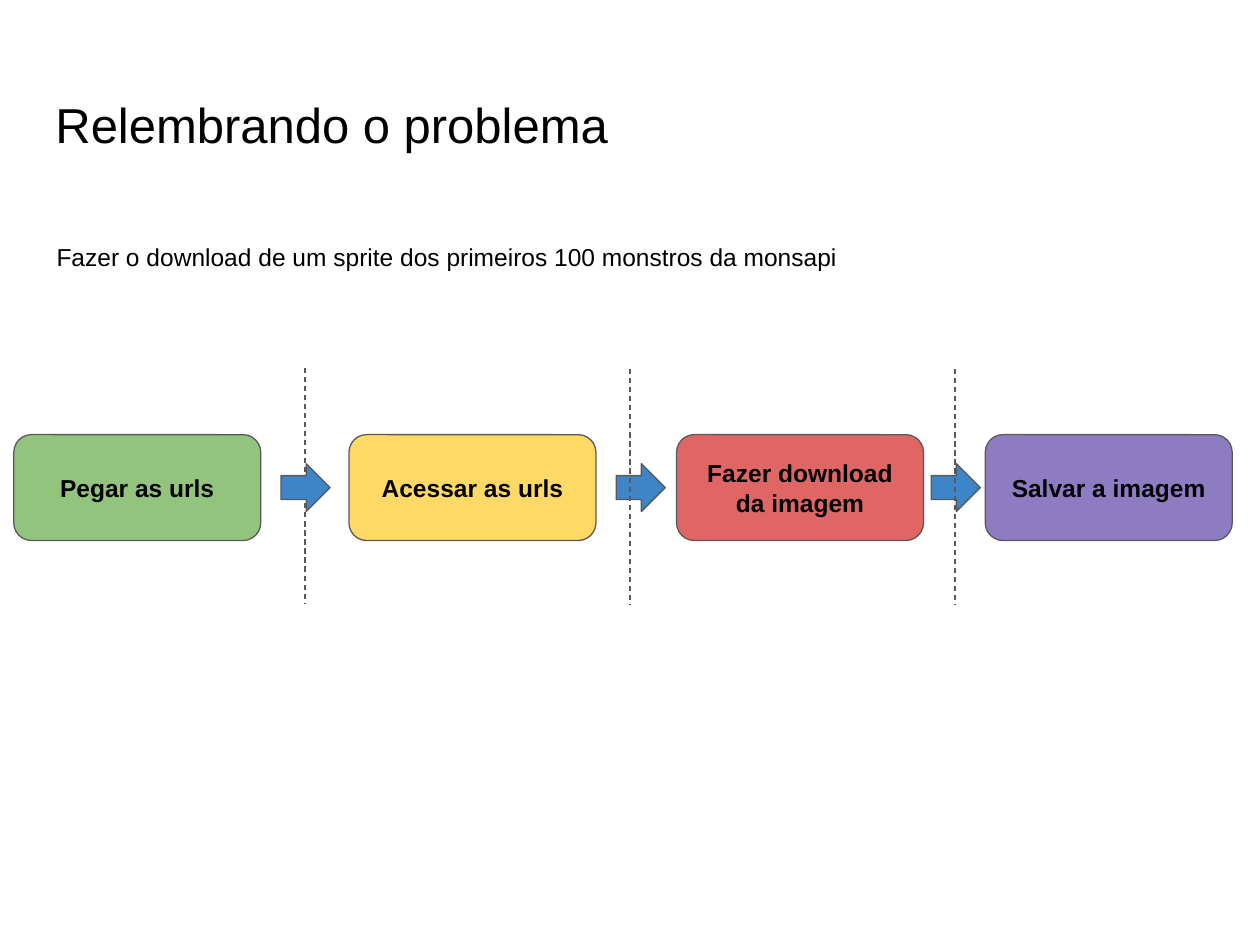
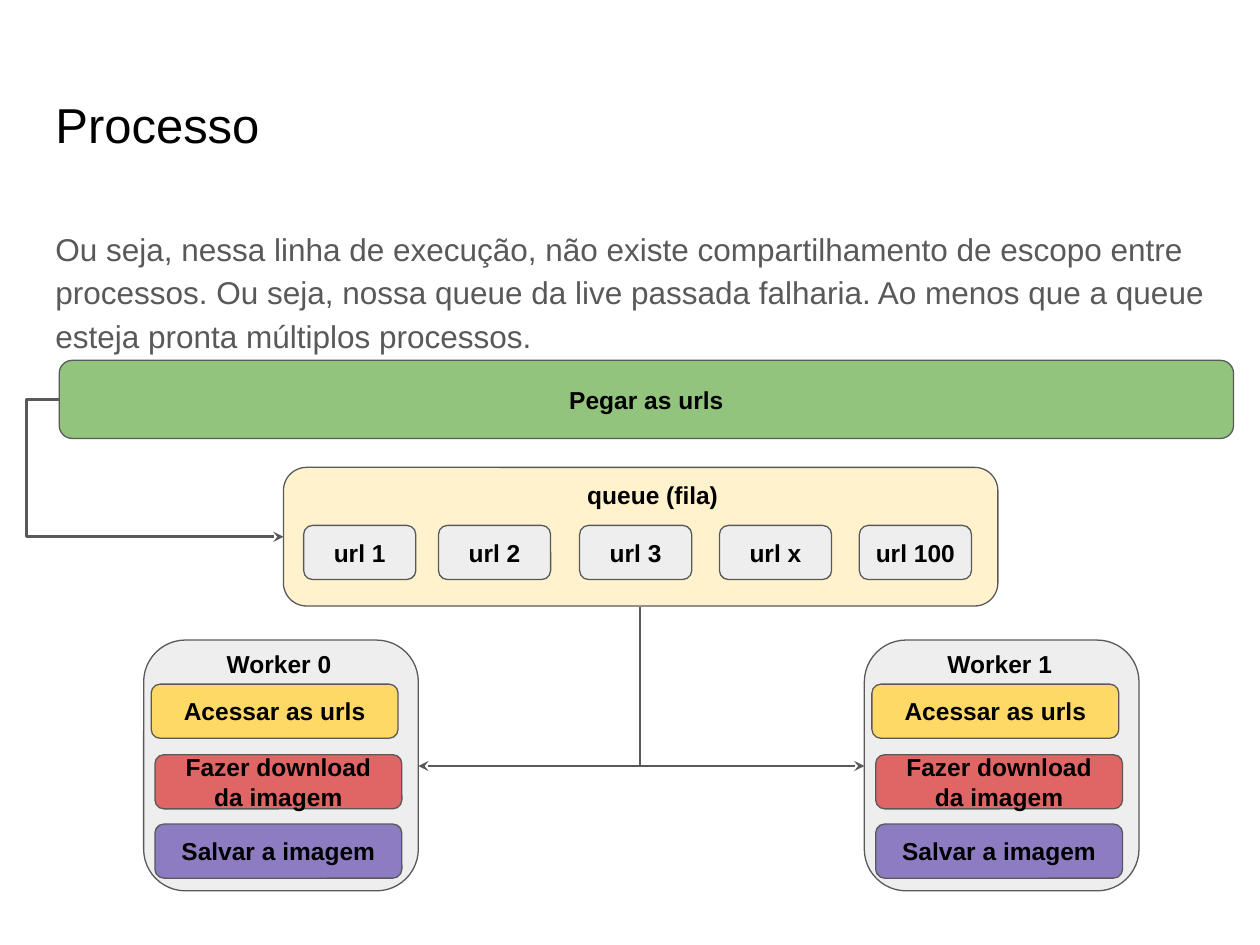
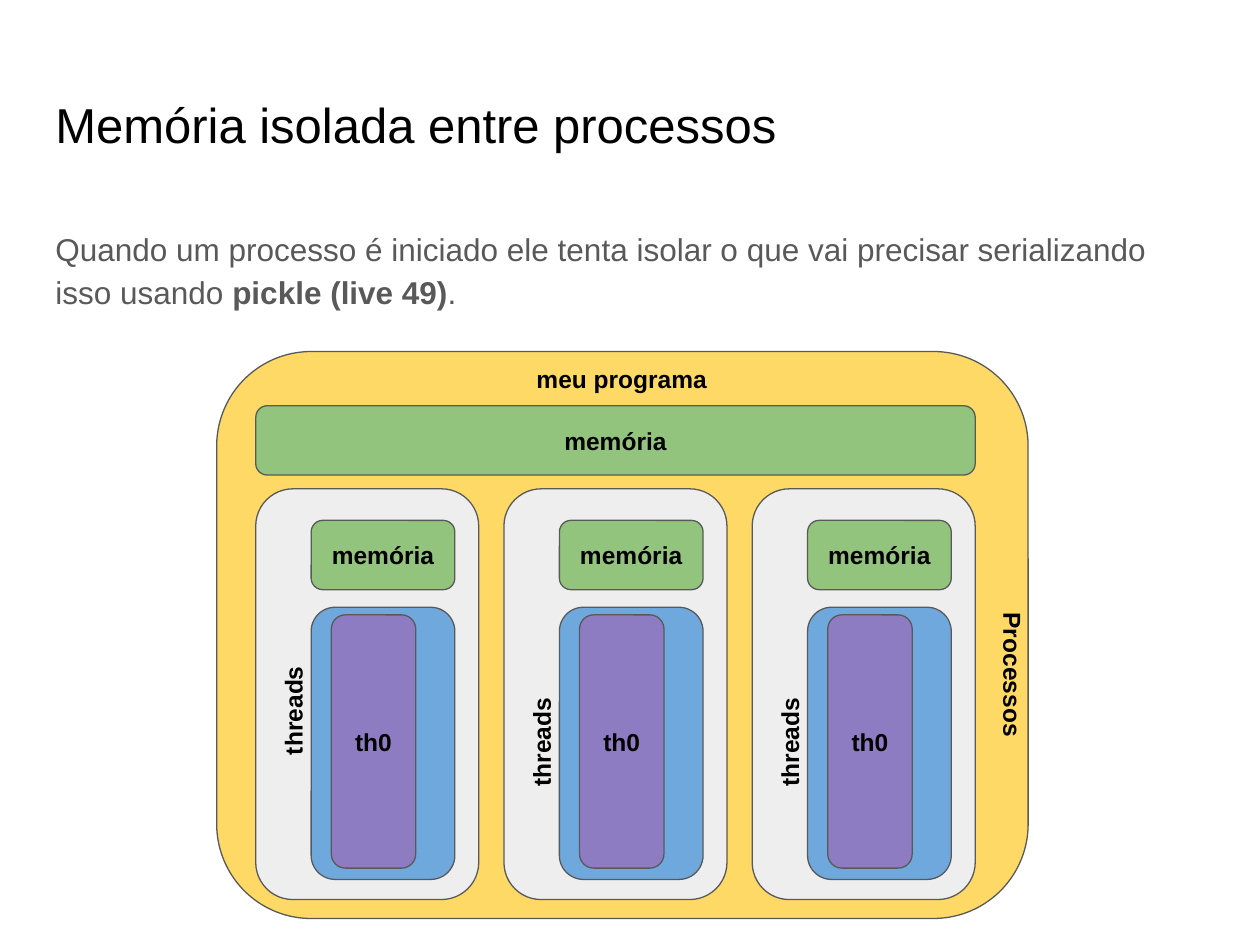
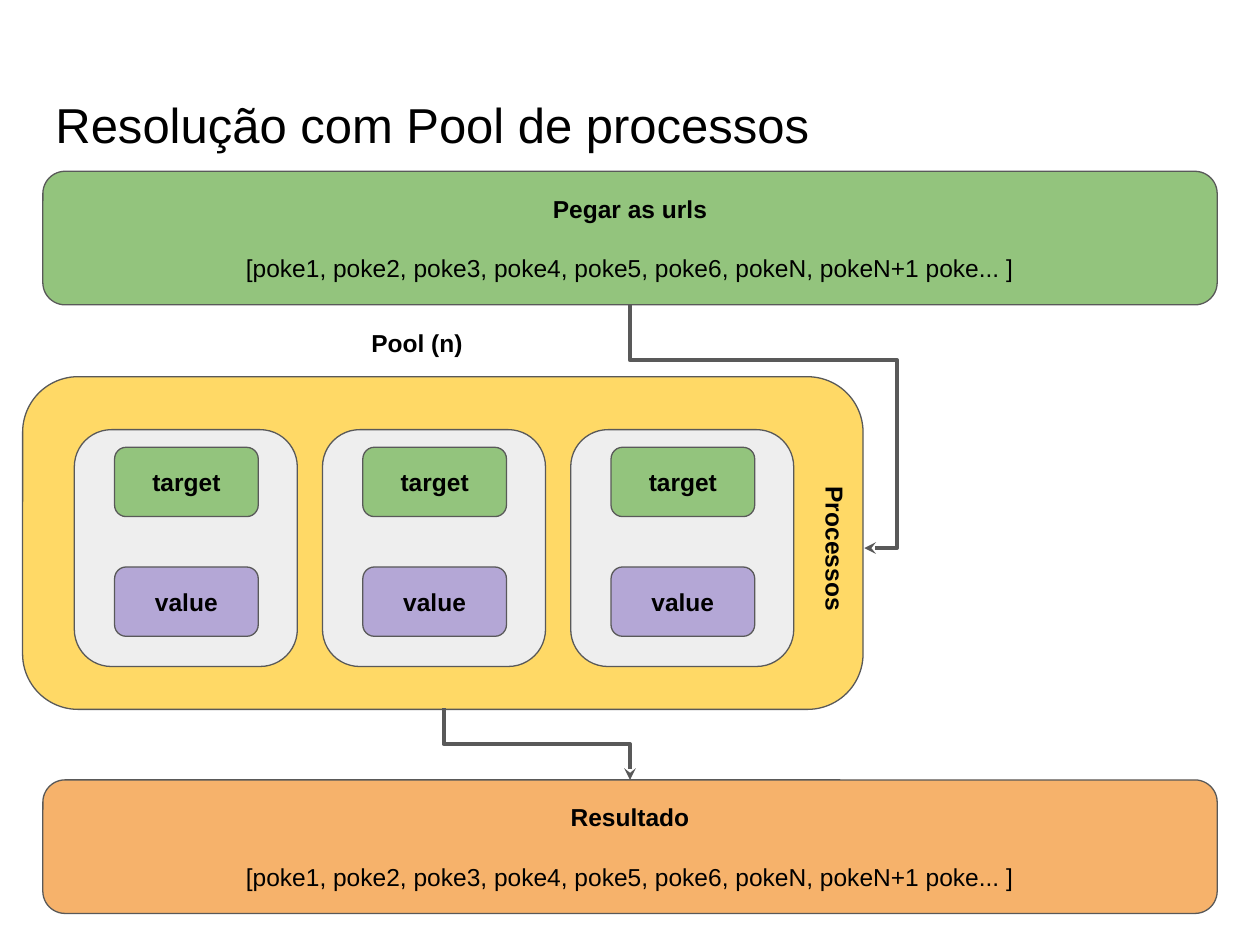
from dataclasses import dataclass

from lxml import etree
from pptx import Presentation
from pptx import util as u
from pptx.dml.color import RGBColor
from pptx.enum import dml, shapes, text
from pptx.oxml.ns import qn

BLACK = RGBColor(0x00, 0x00, 0x00)
SLATE = RGBColor(0x59, 0x59, 0x59)
GREEN = RGBColor(0x93, 0xC4, 0x7D)
YELLOW = RGBColor(0xFF, 0xD9, 0x66)
CREAM = RGBColor(0xFF, 0xF2, 0xCC)
RED = RGBColor(0xE0, 0x66, 0x66)
PURPLE = RGBColor(0x8E, 0x7C, 0xC3)
LILAC = RGBColor(0xB4, 0xA7, 0xD6)
ORANGE = RGBColor(0xF6, 0xB2, 0x6B)
BLUE = RGBColor(0x3D, 0x85, 0xC6)
SKY = RGBColor(0x6F, 0xA8, 0xDC)
GRAY = RGBColor(0xEE, 0xEE, 0xEE)

FONT = "Arial"
LABEL_SIZE = u.Pt(14)
INSET = u.Inches(0.1)
COLUMN_PITCH = 1.97
COLUMN_WIDTH = 1.77
POKE_LIST = "[poke1, poke2, poke3, poke4, poke5, poke6, pokeN, pokeN+1 poke... ]"
ROUNDED = shapes.MSO_SHAPE.ROUNDED_RECTANGLE
ARROW = shapes.MSO_SHAPE.RIGHT_ARROW


@dataclass(frozen=True)
class Area:
    left: float
    top: float
    width: float
    height: float

    def lengths(self) -> list:
        return [u.Inches(v) for v in (self.left, self.top, self.width, self.height)]


@dataclass(frozen=True)
class Block:
    area: Area
    fill: RGBColor
    label: str = ""
    detail: str = ""
    kind: int = ROUNDED


@dataclass(frozen=True)
class Caption:
    area: Area
    label: str
    rotation: int = 0
    bold: bool = True
    align: int = text.PP_ALIGN.CENTER


@dataclass(frozen=True)
class Elbow:
    start: tuple[float, float]
    end: tuple[float, float]
    preset: str
    weight: float
    bends: tuple[float, ...] = ()
    leaves_down: bool = True


TITLE_AREA = Area(0.34, 0.65, 9.32, 0.83)


def set_insets(frame) -> None:
    frame.word_wrap = True
    frame.margin_left = frame.margin_right = INSET
    frame.margin_top = frame.margin_bottom = INSET


def style(paragraph, size, color=BLACK, bold=False) -> None:
    font = paragraph.font
    font.name, font.size, font.bold = FONT, size, bold
    font.color.rgb = color


def fill_placeholder(holder, area: Area):
    holder.left, holder.top, holder.width, holder.height = area.lengths()
    frame = holder.text_frame
    set_insets(frame)
    frame.auto_size = text.MSO_AUTO_SIZE.NONE
    frame.vertical_anchor = text.MSO_ANCHOR.TOP
    paragraph = frame.paragraphs[0]
    paragraph.alignment = text.PP_ALIGN.LEFT
    return paragraph


def new_slide(deck, title: str, body: tuple[tuple[str, bool], ...] = (), body_height: float = 0):
    slide = deck.slides.add_slide(deck.slide_layouts[1 if body else 5])
    heading = fill_placeholder(slide.shapes.title, TITLE_AREA)
    heading.add_run().text = title
    style(heading, u.Pt(28))
    if body:
        paragraph = fill_placeholder(slide.placeholders[1], Area(0.34, 1.68, 9.32, body_height))
        props = paragraph._p.get_or_add_pPr()
        props.set("marL", "0")
        props.set("indent", "0")
        etree.SubElement(props, qn("a:buNone"))
        paragraph.line_spacing = 1.15
        paragraph.space_before = u.Pt(0)
        paragraph.space_after = u.Pt(16)
        style(paragraph, u.Pt(18), SLATE)
        for words, bold in body:
            run = paragraph.add_run()
            run.text = words
            if bold:
                run.font.bold = True
    return slide


def draw_block(slide, block: Block) -> None:
    shape = slide.shapes.add_shape(block.kind, *block.area.lengths())
    shape.shadow.inherit = False
    shape.fill.solid()
    shape.fill.fore_color.rgb = block.fill
    shape.line.color.rgb = SLATE
    shape.line.width = u.Pt(0.75)
    if not block.label:
        return
    frame = shape.text_frame
    set_insets(frame)
    frame.vertical_anchor = text.MSO_ANCHOR.MIDDLE
    name = frame.paragraphs[0]
    name.text = block.label
    name.alignment = text.PP_ALIGN.CENTER
    style(name, LABEL_SIZE, bold=True)
    if block.detail:
        items = frame.add_paragraph()
        items.text = block.detail
        items.alignment = text.PP_ALIGN.CENTER
        items.space_before = u.Pt(17)
        style(items, LABEL_SIZE)


def draw_caption(slide, caption: Caption) -> None:
    box = slide.shapes.add_textbox(*caption.area.lengths())
    box.rotation = caption.rotation
    frame = box.text_frame
    set_insets(frame)
    if caption.rotation:
        frame.vertical_anchor = text.MSO_ANCHOR.MIDDLE
    paragraph = frame.paragraphs[0]
    paragraph.text = caption.label
    paragraph.alignment = caption.align
    style(paragraph, LABEL_SIZE, bold=caption.bold)


def add_line(slide, kind, start, end, weight: float):
    line = slide.shapes.add_connector(kind, *(u.Inches(v) for v in (*start, *end)))
    line.line.color.rgb = SLATE
    line.line.width = u.Pt(weight)
    etree.SubElement(line._element.spPr, qn("a:effectLst"))
    return line


def draw_divider(slide, x: float, top: float) -> None:
    line = add_line(slide, shapes.MSO_CONNECTOR.STRAIGHT, (x, top), (x, top + 1.87), 0.75)
    line.line.dash_style = dml.MSO_LINE.DASH


def draw_elbow(slide, elbow: Elbow) -> None:
    line = add_line(slide, shapes.MSO_CONNECTOR.ELBOW, elbow.start, elbow.end, elbow.weight)
    props = line._element.spPr
    if elbow.leaves_down:
        (x1, y1), (x2, y2) = elbow.start, elbow.end
        across, down = abs(x2 - x1), abs(y2 - y1)
        turned = Area((x1 + x2 - down) / 2, (y1 + y2 - across) / 2, down, across)
        line.left, line.top, line.width, line.height = turned.lengths()
        frame = props.find(qn("a:xfrm"))
        frame.attrib.pop("flipH", None)
        frame.set("rot", str((90 if x2 < x1 else 270) * 60000))
        if x2 > x1:
            frame.set("flipH", "1")
    geometry = props.find(qn("a:prstGeom"))
    geometry.set("prst", elbow.preset)
    guides = geometry.find(qn("a:avLst"))
    for number, bend in enumerate(elbow.bends, 1):
        etree.SubElement(guides, qn("a:gd"), name=f"adj{number}", fmla=f"val {round(bend * 100000)}")
    etree.SubElement(props.find(qn("a:ln")), qn("a:tailEnd"), type="stealth")


def problem_slide(deck) -> None:
    slide = new_slide(deck, "Relembrando o problema")
    steps = (
        (0.11, GREEN, "Pegar as urls"),
        (2.77, YELLOW, "Acessar as urls"),
        (5.37, RED, "Fazer download da imagem"),
        (7.82, PURPLE, "Salvar a imagem"),
    )
    for left, color, label in steps:
        draw_block(slide, Block(Area(left, 3.45, 1.96, 0.84), color, label))
    draw_divider(slide, 2.42, 2.92)
    for left in (2.23, 4.89, 7.39):
        draw_block(slide, Block(Area(left, 3.68, 0.39, 0.38), BLUE, kind=ARROW))
    for x in (5, 7.58):
        draw_divider(slide, x, 2.93)
    goal = "Fazer o download de um sprite dos primeiros 100 monstros da monsapi"
    draw_caption(slide, Caption(Area(0.35, 1.82, 9.25, 1.44), goal, bold=False, align=text.PP_ALIGN.LEFT))


def draw_worker(slide, left: float, label: str) -> None:
    draw_block(slide, Block(Area(left, 5.08, 2.18, 1.99), GRAY))
    tasks = (
        (0.06, 5.43, YELLOW, "Acessar as urls"),
        (0.09, 5.99, RED, "Fazer download da imagem"),
        (0.09, 6.54, PURPLE, "Salvar a imagem"),
    )
    for offset, top, color, task in tasks:
        draw_block(slide, Block(Area(left + offset, top, 1.96, 0.43), color, task))
    draw_caption(slide, Caption(Area(left + 0.04, 5.05, 2.07, 0.39), label))


def process_slide(deck) -> None:
    message = (
        "Ou seja, nessa linha de execução, não existe compartilhamento de escopo entre processos. "
        "Ou seja, nossa queue da live passada falharia. "
        "Ao menos que a queue esteja pronta múltiplos processos."
    )
    slide = new_slide(deck, "Processo", ((message, False),), 4.98)
    draw_block(slide, Block(Area(0.47, 2.86, 9.32, 0.62), GREEN, "Pegar as urls"))
    draw_block(slide, Block(Area(2.25, 3.71, 5.67, 1.1), CREAM))
    draw_caption(slide, Caption(Area(3.57, 3.71, 3.22, 0.26), "queue (fila)"))
    for left, item in zip((2.41, 3.48, 4.6, 5.71, 6.82), ("1", "2", "3", "x", "100")):
        draw_block(slide, Block(Area(left, 4.17, 0.89, 0.43), GRAY, f"url {item}"))
    for number, left in enumerate((1.14, 6.86)):
        draw_worker(slide, left, f"Worker {number}")
    for worker_side in (3.32, 6.86):
        draw_elbow(slide, Elbow((5.08, 4.82), (worker_side, 6.08), "bentConnector2", 1.5))
    draw_elbow(slide, Elbow((0.47, 3.17), (2.25, 4.26), "bentConnector3", 1.5, (-0.146,), leaves_down=False))


def memory_slide(deck) -> None:
    message = (
        ("Quando um processo é iniciado ele tenta isolar o que vai precisar serializando isso usando ", False),
        ("pickle (live 49)", True),
        (".", False),
    )
    slide = new_slide(deck, "Memória isolada entre processos", message, 1.23)
    draw_block(slide, Block(Area(1.72, 2.79, 6.44, 4.5), YELLOW))
    draw_caption(slide, Caption(Area(3.18, 2.79, 3.51, 0.47), "meu programa"))
    draw_caption(slide, Caption(Area(6.99, 5.12, 2.1, 0.47), "Processos", 90))
    for column, threads_top in enumerate((5.34, 5.59, 5.59)):
        left = 2.03 + column * COLUMN_PITCH
        draw_block(slide, Block(Area(left, 3.88, COLUMN_WIDTH, 3.26), GRAY))
        draw_block(slide, Block(Area(left + 0.44, 4.13, 1.14, 0.55), GREEN, "memória"))
        draw_block(slide, Block(Area(left + 0.44, 4.82, 1.14, 2.16), SKY))
        draw_block(slide, Block(Area(left + 0.6, 4.88, 0.67, 2.01), PURPLE, "th0"))
        draw_caption(slide, Caption(Area(left - 0.54, threads_top, 1.67, 0.6), "threads", 270))
    draw_block(slide, Block(Area(2.03, 3.22, 5.71, 0.55), GREEN, "memória"))


def pool_slide(deck) -> None:
    slide = new_slide(deck, "Resolução com Pool de processos")
    draw_block(slide, Block(Area(0.18, 2.99, 6.67, 2.64), YELLOW))
    draw_caption(slide, Caption(Area(-0.51, 2.5, 7.64, 0.65), "Pool (n)"))
    draw_caption(slide, Caption(Area(5.58, 4.12, 2.1, 0.47), "Processos", 90))
    for column in range(3):
        left = 0.59 + column * COLUMN_PITCH
        draw_block(slide, Block(Area(left, 3.41, COLUMN_WIDTH, 1.88), GRAY))
        draw_block(slide, Block(Area(left + 0.32, 3.55, 1.14, 0.55), GREEN, "target"))
        draw_block(slide, Block(Area(left + 0.32, 4.5, 1.14, 0.55), LILAC, "value"))
    for top, color, label in ((1.36, GREEN, "Pegar as urls"), (6.19, ORANGE, "Resultado")):
        draw_block(slide, Block(Area(0.34, top, 9.32, 1.06), color, label, POKE_LIST))
    draw_elbow(slide, Elbow((5, 2.42), (6.86, 4.35), "bentConnector4", 2.25, (0.228, 1.14)))
    draw_elbow(slide, Elbow((3.52, 5.62), (5, 6.19), "bentConnector3", 2.25, (0.5,)))


def main() -> None:
    deck = Presentation()
    deck.slide_width, deck.slide_height = u.Inches(10), u.Inches(7.5)
    for build in (problem_slide, process_slide, memory_slide, pool_slide):
        build(deck)
    deck.save("out.pptx")


if __name__ == "__main__":
    main()
